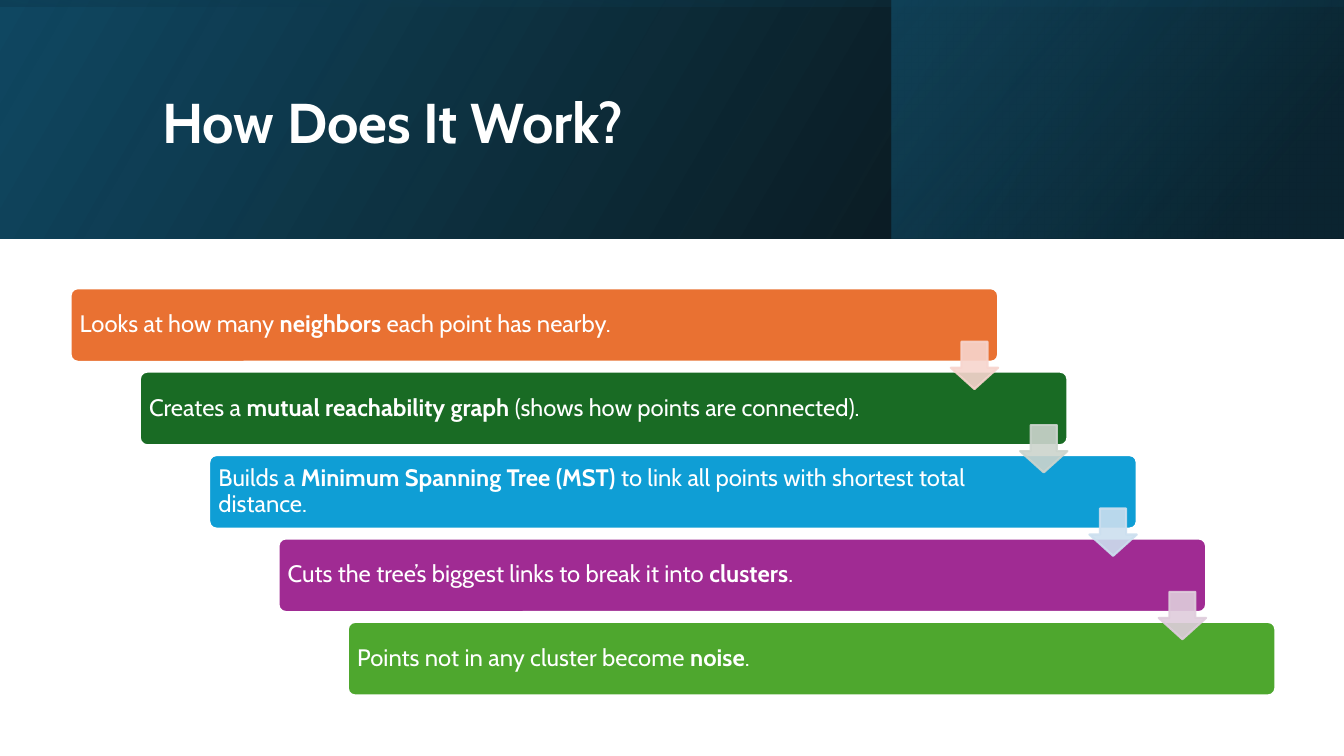
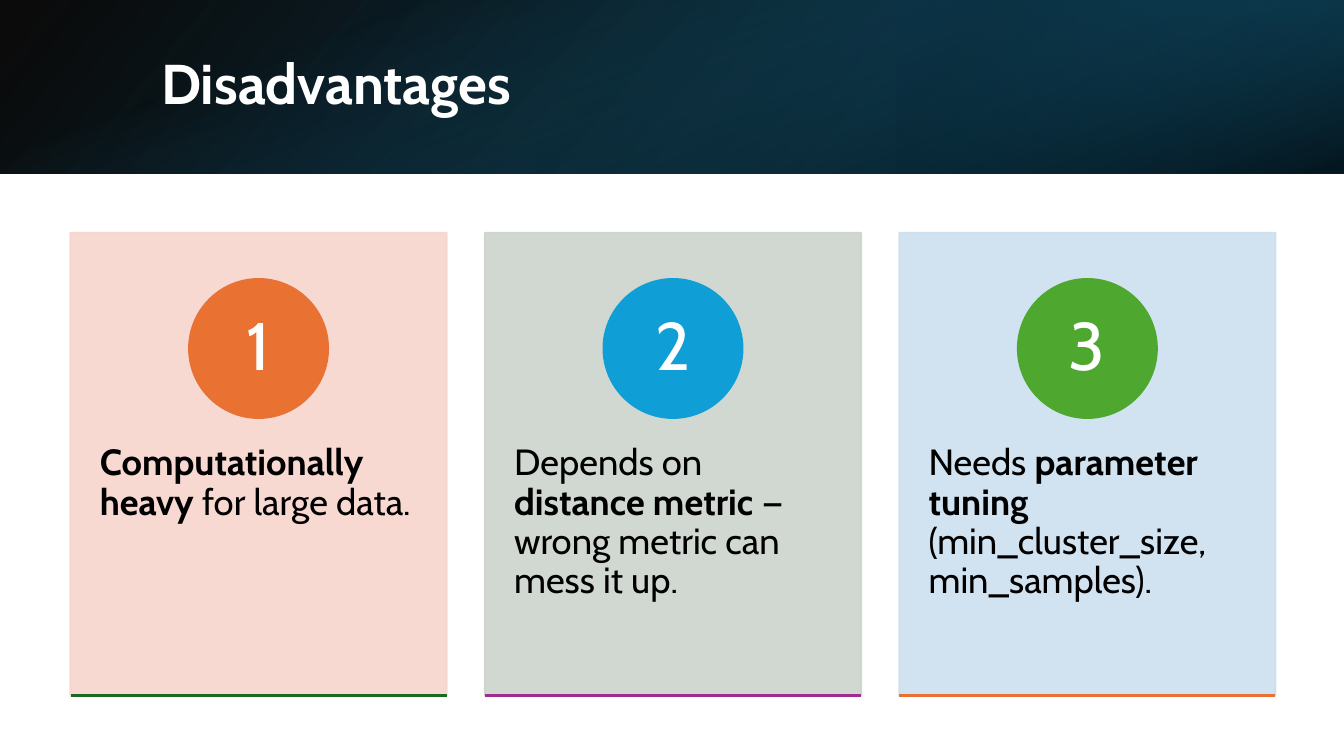
from collections import namedtuple

from lxml.etree import SubElement
from pptx import Presentation
from pptx.dml.color import RGBColor
from pptx.enum.shapes import MSO_CONNECTOR, MSO_SHAPE
from pptx.enum.text import MSO_ANCHOR, PP_ALIGN
from pptx.oxml.ns import qn
from pptx.util import Inches, Pt

WIDTH, HEIGHT = 13.33, 7.5
MARGIN, BOTTOM = 0.7, 6.9
FONT = "Cabin"
WHITE, BLACK = "FFFFFF", "000000"
NAVY, DEEP, TEAL = "104862", "0B3041", "156082"
ORANGE, FOREST, BLUE, PURPLE, GREEN = "E97132", "196B24", "0F9ED5", "A02B93", "4EA72E"
PINK, SAGE, SKY, MAUVE = "F7D5CE", "CCD4CD", "CCDFEF", "DFCDDC"
TINT_OPACITY = 90

Box = namedtuple("Box", "left top width height")
Layer = namedtuple("Layer", "stops angle rotation flip", defaults=(0, True))


def rgb(color):
    """Turn a hex string into a colour."""
    return RGBColor.from_string(color)


def set_opacity(shape, *percents):
    """Give the colours of a shape, in order, their opacity."""
    colors = shape.element.spPr.iter(qn("a:srgbClr"))
    for color, percent in zip(list(colors), percents):
        SubElement(color, qn("a:alpha")).set("val", str(percent * 1000))


def add_shape(page, kind, box, fill=None, line=None, opacity=None, adjustments=()):
    """Add a preset shape without shadow."""
    shape = page.shapes.add_shape(kind, *map(Inches, box))
    shape.shadow.inherit = False
    for index, value in enumerate(adjustments):
        shape.adjustments[index] = value
    if fill:
        shape.fill.solid()
        shape.fill.fore_color.rgb = rgb(fill)
    if line:
        shape.line.color.rgb = rgb(line)
        shape.line.width = Pt(1.5)
    else:
        shape.line.fill.background()
    if opacity:
        set_opacity(shape, opacity, opacity)
    return shape


def write(shape, text, size, color=WHITE, bold=False, align=PP_ALIGN.LEFT,
          anchor=MSO_ANCHOR.MIDDLE, insets=(0.1, 0.05, 0.1, 0.05)):
    """Write text into a shape; words between asterisks are bold."""
    frame = shape.text_frame
    frame.word_wrap = True
    frame.vertical_anchor = anchor
    (frame.margin_left, frame.margin_top,
     frame.margin_right, frame.margin_bottom) = map(Inches, insets)
    para = frame.paragraphs[0]
    para.alignment = align
    para.line_spacing = 0.9
    for index, part in enumerate(text.split("*")):
        if part:
            span = para.add_run()
            span.text = part
            span.font.name = FONT
            span.font.size = Pt(size)
            span.font.bold = bold or index % 2 == 1
            span.font.color.rgb = rgb(color)


def add_gradient(page, box, layer):
    """Add one gradient layer, turned about the centre of its box."""
    if layer.rotation in (90, 270):
        box = Box(box.left + (box.width - box.height) / 2,
                  box.top + (box.height - box.width) / 2, box.height, box.width)
    shape = add_shape(page, MSO_SHAPE.RECTANGLE, box)
    shape.rotation = layer.rotation
    if layer.flip:
        shape.element.spPr.find(qn("a:xfrm")).set("flipH", "1")
    shape.fill.gradient()
    shape.fill.gradient_angle = 360 - layer.angle
    for stop, (position, color, _) in zip(shape.fill.gradient_stops, layer.stops):
        stop.position = position / 100
        stop.color.rgb = rgb(color)
    set_opacity(shape, *(stop[2] for stop in layer.stops))


def add_header(page, title, height, split, layers, title_box):
    """Add the layered gradient band and the slide title."""
    band = Box(0, 0, WIDTH, height)
    side = Box(split, 0, WIDTH - split, height)
    for box, layer in zip((band, side, band), layers):
        add_gradient(page, box, layer)
    write(page.shapes.add_textbox(*map(Inches, title_box)), title, 40, bold=True)


def add_staircase(page, box, steps, arrow_colors):
    """Add a descending staircase of bars joined by arrows."""
    bar_width, bar_height, arrow_size = 9.2, 0.73, 0.47
    shift = (box.width - bar_width) / (len(steps) - 1)
    pitch = (box.height - bar_height) / (len(steps) - 1)
    for index, (text, color) in enumerate(steps):
        bar = add_shape(page, MSO_SHAPE.ROUNDED_RECTANGLE,
                        Box(box.left + index * shift, box.top + index * pitch,
                            bar_width, bar_height),
                        fill=color, line=WHITE, adjustments=(0.1,))
        write(bar, text, 17, insets=(0.07, 0.07, 1.23, 0.07))
    for index, color in enumerate(arrow_colors):
        add_shape(page, MSO_SHAPE.DOWN_ARROW,
                  Box(box.left + index * shift + bar_width - arrow_size,
                      box.top + index * pitch + 0.53, arrow_size, arrow_size),
                  fill=color, line=color, opacity=TINT_OPACITY, adjustments=(0.55, 0.45))


def add_card(page, box, number, text, tint, accent, edge):
    """Add a tinted card with a numbered circle and a coloured lower edge."""
    card = add_shape(page, MSO_SHAPE.RECTANGLE, box, fill=tint, line=tint,
                     opacity=TINT_OPACITY)
    write(card, text, 26, color=BLACK, anchor=MSO_ANCHOR.TOP,
          insets=(0.29, 2.1, 0.29, 0.36))
    size = box.height * 0.3
    circle = add_shape(page, MSO_SHAPE.OVAL,
                       Box(box.left + (box.width - size) / 2,
                           box.top + box.height * 0.1, size, size),
                       fill=accent, line=accent)
    write(circle, str(number), 48, align=PP_ALIGN.CENTER, insets=(0.11, 0.01, 0.11, 0.01))
    bottom = box.top + box.height
    rule = page.shapes.add_connector(
        MSO_CONNECTOR.STRAIGHT,
        *map(Inches, (box.left, bottom, box.left + box.width, bottom)))
    rule.line.color.rgb = rgb(edge)
    rule.line.width = Pt(1.5)
    SubElement(rule.element.spPr, qn("a:effectLst"))


def add_cards(page, box, cards):
    """Spread numbered cards evenly across a box."""
    width = 3.73
    pitch = (box.width - width) / (len(cards) - 1)
    for index, card in enumerate(cards):
        add_card(page, Box(box.left + index * pitch, box.top, width, box.height),
                 index + 1, *card)


def build_process(page):
    """Build the slide on how the method works."""
    layers = (
        Layer(((0, BLACK, 96), (100, NAVY, 100)), 330),
        Layer(((19, DEEP, 68), (100, TEAL, 48)), 320),
        Layer(((23, NAVY, 16), (99, BLACK, 45)), 350, 270),
    )
    add_header(page, "How Does It Work?", 2.37, 8.84, layers, Box(1.51, 0.38, 10.63, 1.72))
    steps = (
        ("Looks at how many *neighbors* each point has nearby.", ORANGE),
        ("Creates a *mutual reachability graph* (shows how points are connected).", FOREST),
        ("Builds a *Minimum Spanning Tree (MST)* to link all points with shortest "
         "total distance.", BLUE),
        ("Cuts the tree’s biggest links to break it into *clusters*.", PURPLE),
        ("Points not in any cluster become *noise*.", GREEN),
    )
    top = 2.86
    add_staircase(page, Box(MARGIN, top, 11.95, BOTTOM - top), steps,
                  (PINK, SAGE, SKY, MAUVE))


def build_disadvantages(page):
    """Build the slide on disadvantages."""
    layers = (
        Layer(((0, BLACK, 96), (100, NAVY, 100)), 140),
        Layer(((19, DEEP, 68), (100, TEAL, 79)), 320, 180),
        Layer(((23, TEAL, 0), (99, BLACK, 74)), 340, 90, False),
    )
    add_header(page, "Disadvantages", 1.72, 8.89, layers, Box(1.5, 0.38, 10.98, 0.96))
    cards = (
        ("*Computationally heavy* for large data.", PINK, ORANGE, FOREST),
        ("Depends on *distance metric* — wrong metric can mess it up.", SAGE, BLUE, PURPLE),
        ("Needs *parameter tuning* (min_cluster_size, min_samples).", SKY, GREEN, ORANGE),
    )
    top = 2.31
    add_cards(page, Box(MARGIN, top, 11.95, BOTTOM - top), cards)


def main():
    """Build and save the deck."""
    deck = Presentation()
    deck.slide_width, deck.slide_height = Inches(WIDTH), Inches(HEIGHT)
    for build in (build_process, build_disadvantages):
        build(deck.slides.add_slide(deck.slide_layouts[6]))
    deck.save("out.pptx")


if __name__ == "__main__":
    main()
